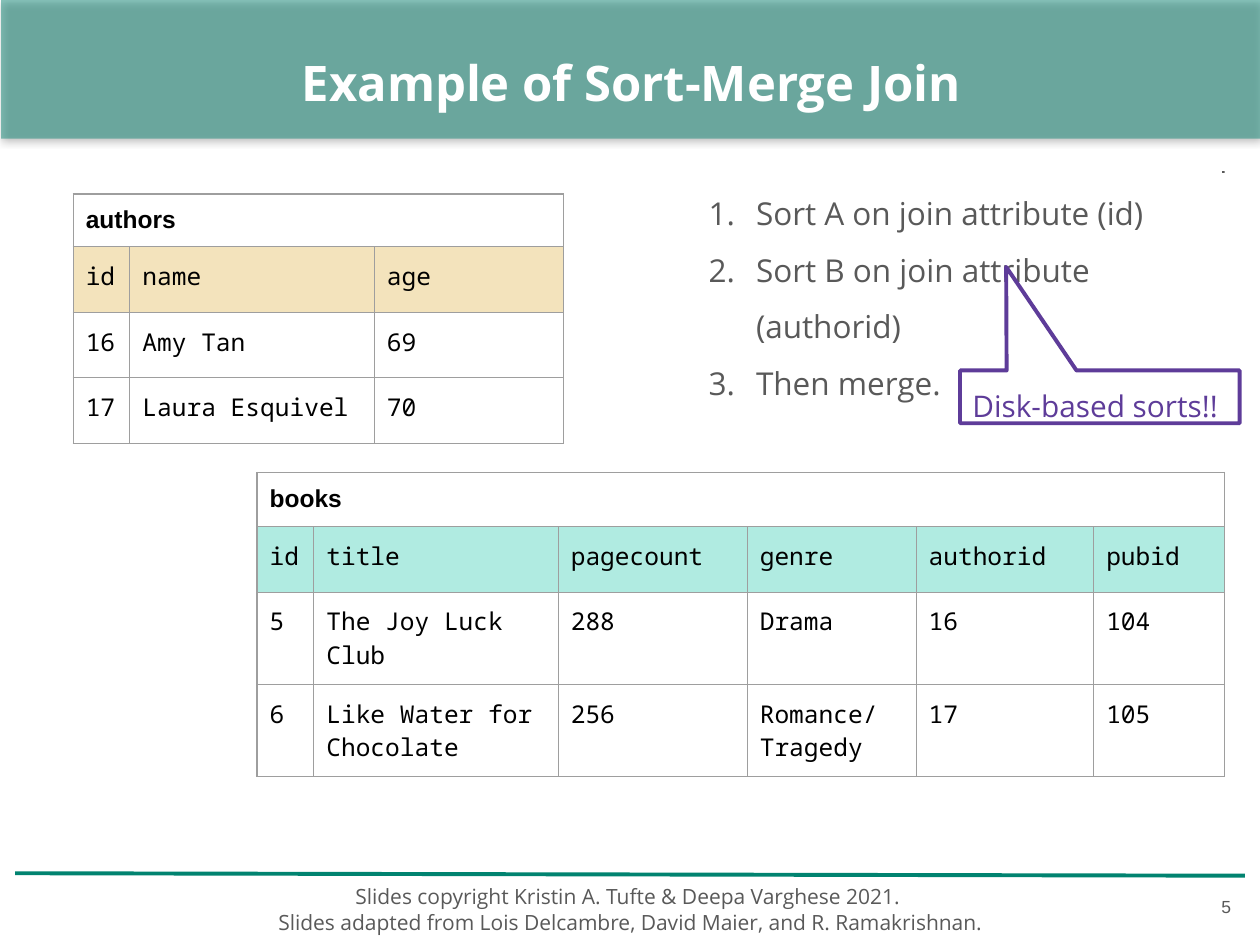
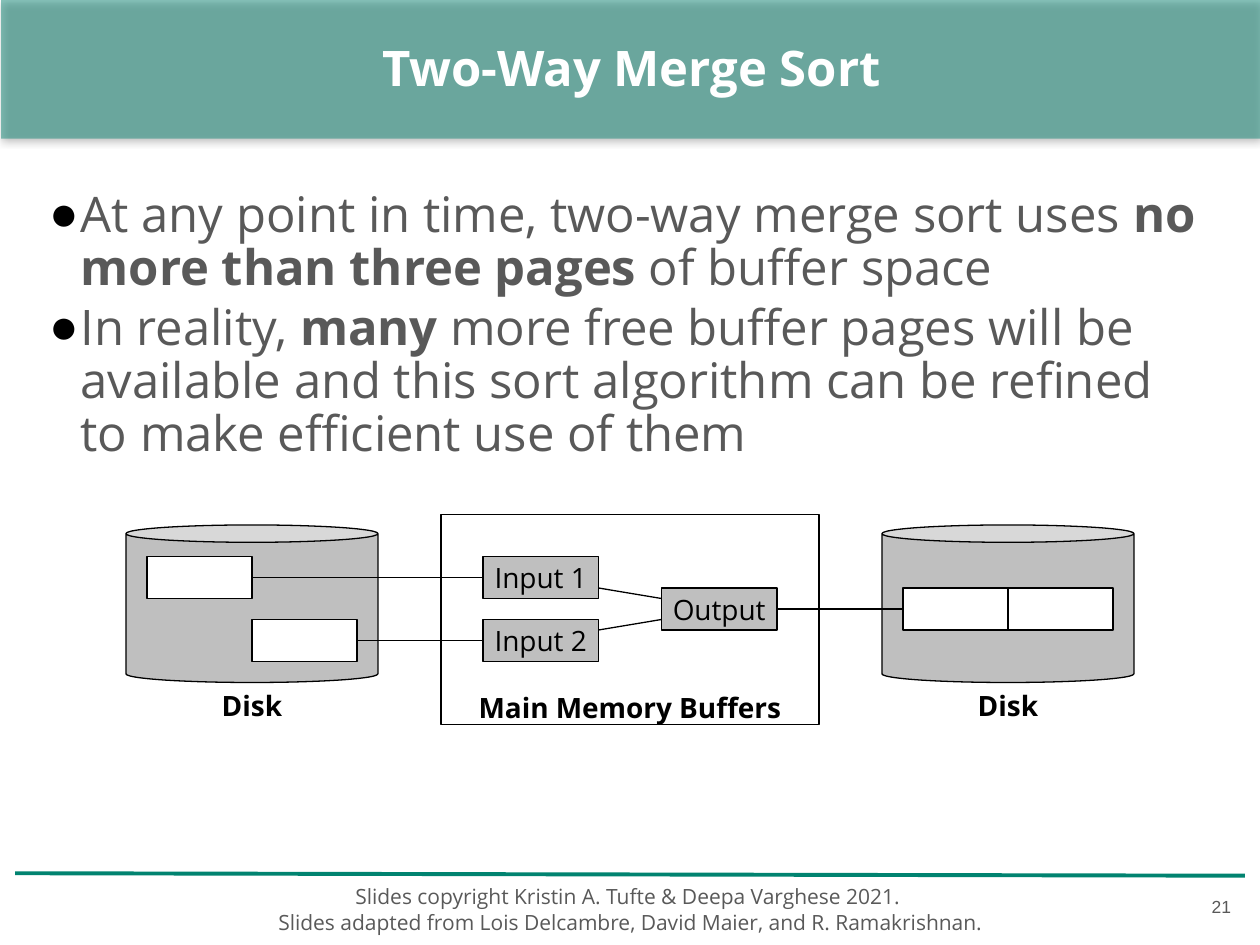
from dataclasses import dataclass
from typing import Optional

import pptx
import pptx.dml.color
import pptx.enum.shapes
import pptx.enum.text
import pptx.oxml
import pptx.oxml.ns
import pptx.util

Pt = pptx.util.Pt
Align = pptx.enum.text.PP_ALIGN
Anchor = pptx.enum.text.MSO_ANCHOR
Preset = pptx.enum.shapes.MSO_SHAPE
qn = pptx.oxml.ns.qn


@dataclass(frozen=True)
class Theme:
    green: str = "018370"
    grey: str = "595959"
    white: str = "FFFFFF"
    black: str = "000000"
    purple: str = "5E3C99"
    disk: str = "BFBFBF"
    border: str = "9E9E9E"
    authors: str = "F3E3BC"
    books: str = "B0EBE1"
    sans: str = "Open Sans"
    plain: str = "Arial"
    mono: str = "Noto Sans Mono"
    heading: float = 28
    list_size: float = 18
    callout: float = 17
    label: float = 16
    cell: float = 14
    footer: float = 12
    number: float = 10


THEME = Theme()


@dataclass(frozen=True)
class Style:
    size: float
    color: str = THEME.black
    font: str = THEME.sans
    bold: bool = False


@dataclass(frozen=True)
class Frame:
    left: float
    top: float
    width: float
    height: float

    def lengths(self) -> list:
        return [Pt(n) for n in (self.left, self.top, self.width, self.height)]

    def left_at(self, part: float = 0.5) -> tuple[float, float]:
        """Point on the left edge, at a part of the height."""
        return self.left, self.top + part * self.height

    def right_at(self, part: float = 0.5) -> tuple[float, float]:
        return self.left + self.width, self.top + part * self.height


@dataclass(frozen=True)
class Span:
    text: str
    bold: bool = False


@dataclass(frozen=True)
class Para:
    spans: tuple[Span, ...]
    align: Align = Align.LEFT
    spacing: float = 1.0
    before: float = 0
    margin: float = 0
    indent: float = 0
    bullet: str = ""
    bullet_color: str = THEME.black


@dataclass(frozen=True)
class Relation:
    name: str
    frame: Frame
    header_fill: str
    widths: tuple[float, ...]
    heights: tuple[float, ...]
    rows: tuple[tuple[str, ...], ...]


def rgb(code: str) -> pptx.dml.color.RGBColor:
    return pptx.dml.color.RGBColor.from_string(code)


def xml(markup: str):
    """Parse one DrawingML element written with the a: prefix."""
    head, mark, tail = markup.partition(">")
    slash = "/" if head.endswith("/") else ""
    namespace = pptx.oxml.ns.nsdecls("a")
    return pptx.oxml.parse_xml(f"{head.removesuffix('/')} {namespace}{slash}{mark}{tail}")


def one(text: str, **options) -> list[Para]:
    return [Para((Span(text),), **options)]


def add_bullet(paragraph, para: Para) -> None:
    properties = paragraph._p.get_or_add_pPr()
    properties.set("marL", str(Pt(para.margin)))
    properties.set("indent", str(Pt(para.indent)))
    if not para.bullet:
        properties.append(xml("<a:buNone/>"))
        return
    properties.append(xml(f'<a:buClr><a:srgbClr val="{para.bullet_color}"/></a:buClr>'))
    if para.bullet == "1.":
        properties.append(xml('<a:buFont typeface="+mj-lt"/>'))
        properties.append(xml('<a:buAutoNum type="arabicPeriod"/>'))
    else:
        properties.append(xml(f'<a:buFont typeface="{THEME.plain}"/>'))
        properties.append(xml(f'<a:buChar char="{para.bullet}"/>'))


def write(text_frame, paras: list[Para], style: Style, anchor=Anchor.TOP,
          inset: tuple[float, float] = (7.2, 7.2)) -> None:
    """Fill a text frame; inset is horizontal, vertical."""
    text_frame.word_wrap = True
    text_frame.auto_size = pptx.enum.text.MSO_AUTO_SIZE.NONE
    text_frame.vertical_anchor = anchor
    text_frame.margin_left = text_frame.margin_right = Pt(inset[0])
    text_frame.margin_top = text_frame.margin_bottom = Pt(inset[1])
    for index, para in enumerate(paras):
        paragraph = text_frame.add_paragraph() if index else text_frame.paragraphs[0]
        paragraph.alignment = para.align
        paragraph.line_spacing = para.spacing
        paragraph.space_before = Pt(para.before)
        add_bullet(paragraph, para)
        for span in para.spans:
            run = paragraph.add_run()
            run.text = span.text
            run.font.size = Pt(style.size)
            run.font.name = style.font
            run.font.bold = span.bold or style.bold
            run.font.color.rgb = rgb(style.color)


def add_box(page, frame: Frame, fill: Optional[str] = None, line: Optional[str] = None,
            weight: float = 0.75, preset=Preset.RECTANGLE):
    box = page.shapes.add_shape(preset, *frame.lengths())
    box.shadow.inherit = False
    if fill:
        box.fill.solid()
        box.fill.fore_color.rgb = rgb(fill)
    else:
        box.fill.background()
    if line:
        box.line.color.rgb = rgb(line)
        box.line.width = Pt(weight)
    else:
        box.line.fill.background()
    return box


def add_text(page, frame: Frame, paras: list[Para], style: Style, **options):
    box = page.shapes.add_textbox(*frame.lengths())
    write(box.text_frame, paras, style, **options)
    return box


def add_line(page, start: tuple[float, float], end: tuple[float, float],
             color: str = THEME.black, weight: float = 0.75):
    line = page.shapes.add_connector(pptx.enum.shapes.MSO_CONNECTOR.STRAIGHT,
                                     *[Pt(n) for n in (*start, *end)])
    line.line.color.rgb = rgb(color)
    line.line.width = Pt(weight)
    line.element.spPr.append(xml("<a:effectLst/>"))
    return line


def move_placeholder(holder, frame: Frame) -> None:
    holder.left, holder.top, holder.width, holder.height = frame.lengths()


def furnish_layout(page) -> None:
    """Draw band, rule and footer, then hand them to the page's layout."""
    band = add_box(page, Frame(0.72, 0, 720, 79.2), THEME.green)
    properties = band.element.spPr
    properties.find(qn("a:solidFill")).find(qn("a:srgbClr")).append(
        xml('<a:alpha val="46000"/>'))
    properties.find(qn("a:effectLst")).append(xml(
        f'<a:outerShdw blurRad="{Pt(4.5)}" dist="{Pt(1.5)}" dir="5400000" '
        f'algn="t" rotWithShape="0"><a:srgbClr val="{THEME.black}">'
        '<a:alpha val="50000"/></a:srgbClr></a:outerShdw>'))
    rule = add_line(page, (8.64, 499), (711.36, 500.4), THEME.green, 2.25)
    credit = ("Slides copyright Kristin A. Tufte & Deepa Varghese 2021. ",
              "Slides adapted from Lois Delcambre, David Maier, and R. Ramakrishnan.")
    footer = add_text(page, Frame(38.2, 499, 644.4, 41),
                      [Para((Span(text),), Align.CENTER) for text in credit],
                      Style(THEME.footer, THEME.grey), anchor=Anchor.MIDDLE, inset=(7.2, 3.6))
    for number, shape in enumerate((band, rule, footer), start=20):
        shape.element.xpath(".//p:cNvPr")[0].set("id", str(number))
        page.slide_layout.shapes.element.append(shape.element)


def start_page(deck, title: str, number: str, title_spacing: float = 1.0):
    page = deck.slides.add_slide(deck.slide_layouts[1])
    move_placeholder(page.shapes.title, Frame(0.72, -1.44, 720, 79.2))
    write(page.shapes.title.text_frame, one(title, align=Align.CENTER, spacing=title_spacing),
          Style(THEME.heading, THEME.white, bold=True), Anchor.MIDDLE, (7.2, 3.6))
    add_text(page, Frame(667.4, 497.5, 43.2, 41), one(number, align=Align.RIGHT),
             Style(THEME.number, THEME.grey, THEME.plain), anchor=Anchor.MIDDLE, inset=(7.2, 3.6))
    return page


def fill_body(page, frame: Frame, paras: list[Para], size: float, inset: float) -> None:
    body = page.placeholders[1]
    move_placeholder(body, frame)
    write(body.text_frame, paras, Style(size, THEME.grey), inset=(inset, inset))


def format_cell(cell, fill: Optional[str]) -> None:
    cell.margin_left = cell.margin_right = cell.margin_top = cell.margin_bottom = Pt(7.2)
    properties = cell._tc.get_or_add_tcPr()
    for side in "LRTB":
        properties.append(xml(f'<a:ln{side} w="{Pt(0.75)}"><a:solidFill><a:srgbClr '
                              f'val="{THEME.border}"/></a:solidFill></a:ln{side}>'))
    if fill:
        cell.fill.solid()
        cell.fill.fore_color.rgb = rgb(fill)
    else:
        cell.fill.background()


def add_relation(page, relation: Relation) -> None:
    table = page.shapes.add_table(len(relation.heights), len(relation.widths),
                                  *relation.frame.lengths()).table
    table.first_row = table.horz_banding = False
    for column, width in zip(table.columns, relation.widths):
        column.width = Pt(width)
    for row, height in zip(table.rows, relation.heights):
        row.height = Pt(height)
    name_row = (relation.name,) + ("",) * (len(relation.widths) - 1)
    for row, texts in enumerate((name_row, *relation.rows)):
        style = Style(THEME.cell, font=THEME.mono if row else THEME.plain, bold=row == 0)
        for column, text in enumerate(texts):
            cell = table.cell(row, column)
            format_cell(cell, relation.header_fill if row == 1 else None)
            if text:
                run = cell.text_frame.paragraphs[0].add_run()
                run.text = text
                run.font.size, run.font.name = Pt(style.size), style.font
                run.font.bold, run.font.color.rgb = style.bold, rgb(style.color)
    table.cell(0, 0).merge(table.cell(0, len(relation.widths) - 1))


def build_join_page(deck) -> None:
    page = start_page(deck, "Example of Sort-Merge Join", "5", 1.5)
    furnish_layout(page)
    add_box(page, Frame(698.4, 97.9, 1.44, 0.72), THEME.black)
    steps = ("Sort A on join attribute (id)", "Sort B on join attribute (authorid)",
             "Then merge.")
    fill_body(page, Frame(388.8, 92.9, 307.4, 159),
              [Para((Span(step),), spacing=1.5, margin=36, indent=-27, bullet="1.",
                    bullet_color=THEME.grey) for step in steps], THEME.list_size, 7.2)
    add_relation(page, Relation(
        "books", Frame(146.9, 270, 553, 165), THEME.books,
        (32.4, 139.7, 108, 96.5, 101.5, 74.9), (31, 37.4, 48.2, 48.2),
        (("id", "title", "pagecount", "genre", "authorid", "pubid"),
         ("5", "The Joy Luck Club", "288", "Drama", "16", "104"),
         ("6", "Like Water for Chocolate", "256", "Romance/Tragedy", "17", "105"))))
    add_relation(page, Relation(
        "authors", Frame(41.8, 110.9, 280, 137), THEME.authors,
        (32.4, 139.7, 108), (24.5, 37.4, 37.4, 37.4),
        (("id", "name", "age"), ("16", "Amy Tan", "69"), ("17", "Laura Esquivel", "70"))))
    callout = add_box(page, Frame(548.6, 211.7, 159.8, 30.2), None, THEME.purple, 2.25,
                      Preset.ROUNDED_RECTANGULAR_CALLOUT)
    for index, value in enumerate((-0.335, -2.461, 0)):
        callout.adjustments[index] = value
    write(callout.text_frame, one("Disk-based sorts!!", spacing=1.5),
          Style(THEME.callout, THEME.purple), Anchor.MIDDLE)


def add_disk(page, left: float) -> None:
    disk = add_box(page, Frame(left, 300, 144, 90), THEME.disk, THEME.black, preset=Preset.CAN)
    disk.adjustments[0] = 0.11
    add_text(page, Frame(left, 390, 144, 26), one("Disk", align=Align.CENTER),
             Style(THEME.label, bold=True), inset=(3.6, 3.6))


def add_buffer(page, left: float, top: float, label: str) -> Frame:
    frame = Frame(left, top, 66, 24)
    box = add_box(page, frame, THEME.disk, THEME.black)
    write(box.text_frame, one(label, align=Align.CENTER), Style(THEME.label), Anchor.MIDDLE, (0, 0))
    return frame


def add_disk_block(page, left: float, top: float) -> Frame:
    frame = Frame(left, top, 60, 24)
    add_box(page, frame, THEME.white, THEME.black)
    return frame


def build_merge_page(deck) -> None:
    page = start_page(deck, "Two-Way Merge Sort", "21")
    fill_body(page, Frame(24.5, 105.1, 671, 358.6), [
        Para((Span("At any point in time, two-way merge sort uses "),
              Span("no more than three pages ", True), Span("of buffer space")),
             spacing=0.9, margin=18, indent=-20.2, bullet="●"),
        Para((Span("In reality, "), Span("many", True),
              Span(" more free buffer pages will be available and this sort algorithm "
                   "can be refined to make efficient use of them")),
             spacing=0.9, before=4, margin=18, indent=-23, bullet="●")], THEME.heading, 3.6)
    for left in (72, 504):
        add_disk(page, left)
    memory = add_box(page, Frame(252, 294, 216, 120), THEME.white, THEME.black)
    write(memory.text_frame, one("Main Memory Buffers", align=Align.CENTER),
          Style(THEME.label, bold=True), Anchor.BOTTOM, (0, 0))
    output = add_buffer(page, 378, 336, "Output")
    result, _ = [add_disk_block(page, left, 336) for left in (516, 576)]
    lanes = ((84, 318, "Input 1", 0.75), (144, 354, "Input 2", 0.25))
    for block_left, top, label, exit_part in lanes:
        block = add_disk_block(page, block_left, top)
        buffer = add_buffer(page, 276, top, label)
        add_line(page, block.right_at(), buffer.left_at())
        add_line(page, buffer.right_at(exit_part), output.left_at(1 - exit_part))
    add_line(page, output.right_at(), result.left_at())


def main() -> None:
    deck = pptx.Presentation()
    deck.slide_width, deck.slide_height = Pt(720), Pt(540)
    build_join_page(deck)
    build_merge_page(deck)
    deck.save("out.pptx")


if __name__ == "__main__":
    main()
